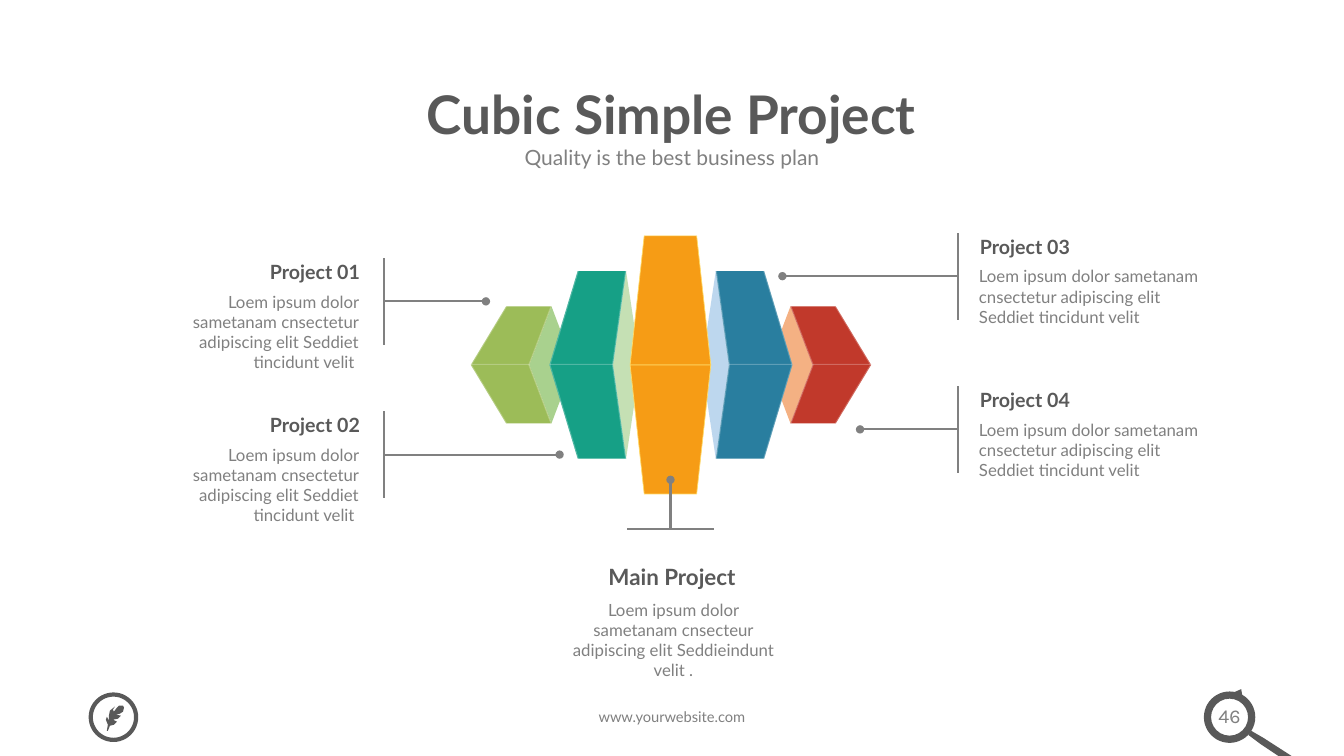
from dataclasses import dataclass

from lxml.etree import SubElement
from pptx import Presentation
from pptx.dml.color import RGBColor
from pptx.enum.shapes import MSO_CONNECTOR, MSO_SHAPE
from pptx.enum.text import MSO_ANCHOR, PP_ALIGN
from pptx.oxml.ns import qn
from pptx.util import Inches, Pt


@dataclass(frozen=True)
class Theme:
    font: str = "Lato"
    number_font: str = "Karla"
    dark: str = "595959"
    grey: str = "808080"
    white: str = "FFFFFF"
    orange: str = "F69C15"
    orange_edge: str = "FFD966"
    red: str = "C1392B"
    red_side: str = "F4B183"
    green: str = "9CBC58"
    green_side: str = "A9D18E"
    teal: str = "16A086"
    teal_side: str = "C5E0B4"
    blue: str = "297E9F"
    blue_side: str = "BDD7EE"
    title_size: float = 38
    subtitle_size: float = 15
    main_size: float = 16
    heading_size: float = 14
    body_size: float = 12
    footer_size: float = 10.5


theme = Theme()
presentation = Presentation()
presentation.slide_width = Inches(13.33)
presentation.slide_height = Inches(7.5)
slide = presentation.slides.add_slide(presentation.slide_layouts[6])


def add_polygon(points, color, opacity=100):
    corners = [(Inches(x), Inches(y)) for x, y in points]
    builder = slide.shapes.build_freeform(*corners[0], scale=1.0)
    builder.add_line_segments(corners[1:], close=True)
    shape = builder.convert_to_shape()
    shape.shadow.inherit = False
    shape.fill.solid()
    shape.fill.fore_color.rgb = RGBColor.from_string(color)
    shape.line.fill.background()
    if opacity < 100:
        color_element = shape._element.spPr.find(".//" + qn("a:srgbClr"))
        SubElement(color_element, qn("a:alpha"), val=str(opacity * 1000))
    return shape


def add_text(text, left, top, width, height, size, color=theme.grey, bold=False,
             align=PP_ALIGN.CENTER, font=theme.font, anchor=MSO_ANCHOR.TOP, inset=True):
    box = slide.shapes.add_textbox(Inches(left), Inches(top), Inches(width), Inches(height))
    frame = box.text_frame
    frame.word_wrap = True
    frame.vertical_anchor = anchor
    if not inset:
        frame.margin_left = frame.margin_right = frame.margin_top = frame.margin_bottom = 0
    paragraph = frame.paragraphs[0]
    paragraph.text = text
    paragraph.alignment = align
    paragraph.font.name = font
    paragraph.font.size = Pt(size)
    paragraph.font.bold = bold
    paragraph.font.color.rgb = RGBColor.from_string(color)
    return paragraph


# Folded blocks, measured on the right; left ones are mirrored
middle = 3.62
mirror_sum = 13.31
edge = 0.01
outer_block = dict(side_tip=7.62, cap_inner=7.84, fold=8.06, cap_outer=8.29, tip=8.64, half=0.58)
inner_block = dict(side_tip=6.96, cap_inner=7.1, fold=7.23, cap_outer=7.58, tip=7.86, half=0.93)
blocks = [
    (outer_block, False, theme.red, theme.red_side),
    (outer_block, True, theme.green, theme.green_side),
    (inner_block, True, theme.teal, theme.teal_side),
    (inner_block, False, theme.blue, theme.blue_side),
]
for block, mirrored, face_color, side_color in blocks:
    side_tip, cap_inner, fold, cap_outer, tip, half = block.values()
    top, bottom = middle - half, middle + half
    faces = [([(fold, middle), (cap_inner, top), (side_tip, middle), (cap_inner, bottom)],
              side_color, 100)]
    for end in (top, bottom):
        faces.append(([(fold, middle), (cap_inner, end), (cap_outer, end), (tip, middle)],
                      face_color, 100))
    faces.append(([(fold, middle - edge), (tip, middle - edge), (tip, middle), (fold, middle)],
                  theme.white, 25))
    for cap, point, shift in ((cap_outer, tip, -edge), (cap_inner, fold, edge)):
        faces.append(([(cap, top), (point, middle), (cap, bottom), (cap + shift, bottom),
                       (point + shift, middle), (cap + shift, top)], theme.white, 25))
    for points, color, opacity in faces:
        if mirrored:
            points = [(mirror_sum - x, y) for x, y in points]
        add_polygon(points, color, opacity)

for end in (2.34, 4.9):
    half_block = add_polygon([(6.25, middle), (6.39, end), (6.91, end), (7.05, middle)], theme.orange)
    half_block.line.color.rgb = RGBColor.from_string(theme.orange_edge)
    half_block.line.width = Pt(0.5)

# Title and main project
title = add_text("Cubic Simple Project", 1.66, 0.75, 10, 0.82, theme.title_size, theme.dark, True,
                 anchor=MSO_ANCHOR.MIDDLE)
title.line_spacing = 0.9
add_text("Quality is the best business plan", 2.67, 1.38, 7.99, 0.39, theme.subtitle_size)
add_text("Main Project", 5.89, 5.54, 1.55, 0.37, theme.main_size, theme.dark, True)
add_text("Loem ipsum dolor sametanam cnsecteur adipiscing elit Seddieindunt velit .",
         5.5, 5.9, 2.36, 0.71, theme.body_size)

# Callouts: (heading, bar top, dot x, on the left)
callouts = [
    ("Project 01", 2.56, 4.82, True),
    ("Project 02", 4.08, 5.55, True),
    ("Project 03", 2.31, 7.76, False),
    ("Project 04", 3.83, 8.53, False),
]
bar_length = 0.86
lines = [(6.22, 5.25, 7.08, 5.25, False), (6.65, 5.25, 6.65, 4.76, True)]
body = "Loem ipsum dolor sametanam cnsectetur adipiscing elit Seddiet tincidunt velit"
for heading, bar_top, dot_x, on_left in callouts:
    if on_left:
        bar_x, heading_left, body_left, body_width = 3.81, 1.21, 1.45, 2.11
        align, body_text = PP_ALIGN.RIGHT, body + " "
    else:
        bar_x, heading_left, body_left, body_width = 9.5, 9.62, 9.71, 2.2
        align, body_text = PP_ALIGN.LEFT, body
    add_text(heading, heading_left, bar_top - 0.01, 2.46, 0.29, theme.heading_size, theme.dark,
             True, align, anchor=MSO_ANCHOR.MIDDLE)
    add_text(body_text, body_left, bar_top + 0.33, body_width, 0.61, theme.body_size,
             align=align, inset=False)
    bar_middle = bar_top + bar_length / 2
    lines.append((bar_x, bar_top + bar_length, bar_x, bar_top, False))
    lines.append((bar_x, bar_middle, dot_x, bar_middle, True))

for start_x, start_y, end_x, end_y, has_dot in lines:
    connector = slide.shapes.add_connector(MSO_CONNECTOR.STRAIGHT, Inches(start_x), Inches(start_y),
                                           Inches(end_x), Inches(end_y))
    connector.line.color.rgb = RGBColor.from_string(theme.grey)
    connector.line.width = Pt(1.5)
    if has_dot:
        SubElement(connector.line._get_or_add_ln(), qn("a:tailEnd"), type="oval")
    SubElement(connector._element.spPr, qn("a:effectLst"))

# Footer
add_text("www.yourwebsite.com", 4.25, 6.97, 4.83, 0.29, theme.footer_size)
add_text("46", 11.89, 6.93, 0.61, 0.34, theme.heading_size, font=theme.number_font)

lens = slide.shapes.add_shape(MSO_SHAPE.DONUT, Inches(11.94), Inches(6.86), Inches(0.51), Inches(0.51))
lens.adjustments[0] = 0.14
lens_tip = slide.shapes.add_shape(MSO_SHAPE.RIGHT_ARROW, Inches(12.23), Inches(6.83),
                                  Inches(0.11), Inches(0.11))
lens_tip.adjustments[0] = 0.32
lens_tip.adjustments[1] = 0.64
lens_tip.rotation = 298.7
for shape in (lens, lens_tip):
    shape.shadow.inherit = False
    shape.fill.solid()
    shape.fill.fore_color.rgb = RGBColor.from_string(theme.dark)
    shape.line.fill.background()
add_polygon([(12.41, 7.25), (12.53, 7.32), (12.92, 7.57), (12.93, 7.61), (12.89, 7.64),
             (12.5, 7.38), (12.38, 7.29)], theme.dark)

badge = slide.shapes.add_shape(MSO_SHAPE.OVAL, Inches(0.9), Inches(6.89), Inches(0.45), Inches(0.45))
badge.shadow.inherit = False
badge.fill.background()
badge.line.color.rgb = RGBColor.from_string(theme.dark)
badge.line.width = Pt(3)
add_polygon([(1.07, 7.25), (1.09, 7.2), (1.13, 7.19), (1.16, 7.16), (1.12, 7.14), (1.17, 7.13),
             (1.2, 7.1), (1.15, 7.09), (1.19, 7.08), (1.22, 7.06), (1.23, 7.02), (1.22, 7),
             (1.18, 7), (1.16, 7.02), (1.13, 7.06), (1.12, 7.04), (1.14, 7.01), (1.09, 7.05),
             (1.08, 7.1), (1.08, 7.15), (1.06, 7.11), (1.05, 7.14), (1.07, 7.19), (1.06, 7.25)],
            theme.dark)

presentation.save("out.pptx")
